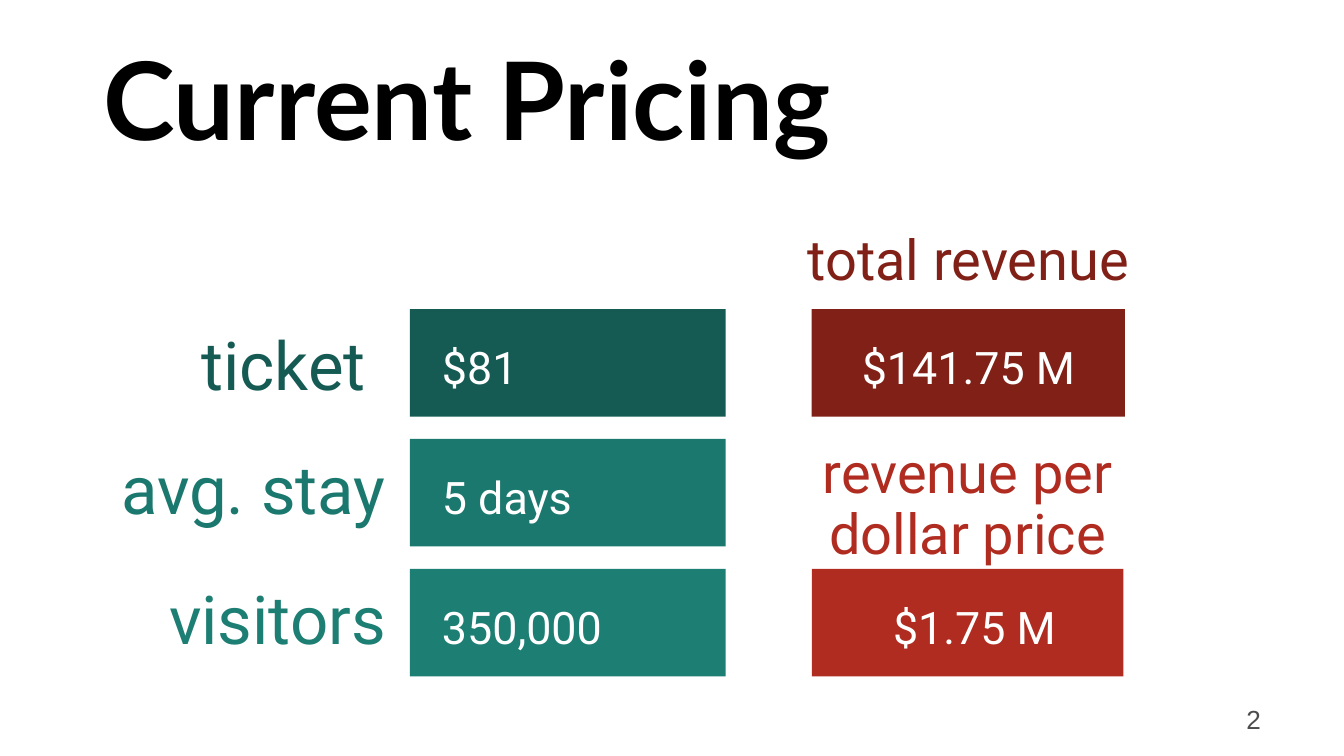
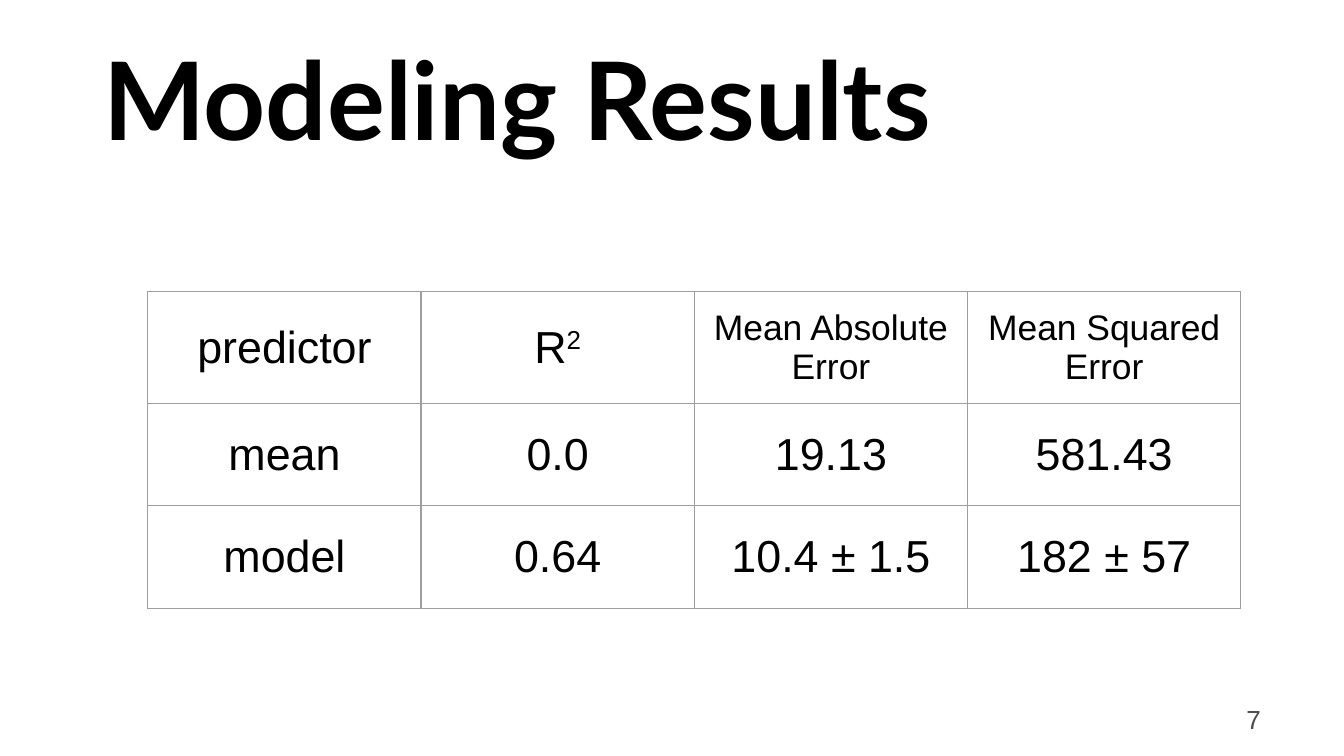
import pptx
import pptx.util
import pptx.dml.color
import pptx.enum.shapes
import pptx.enum.text
import pptx.oxml

Pt = pptx.util.Pt
align = pptx.enum.text.PP_ALIGN
middle = pptx.enum.text.MSO_ANCHOR.MIDDLE
box = pptx.enum.shapes.MSO_SHAPE.RECTANGLE
black, white, gray, edge = "000000", "FFFFFF", "4D4D4D", "9E9E9E"


def tint(code):
    return pptx.dml.color.RGBColor.from_string(code)


def write(frame, runs, font, color, side=align.LEFT, space=None, bold=False):
    frame.word_wrap = True
    para = frame.paragraphs[0]
    para.alignment = side
    para.line_spacing = space
    for text, size in runs:
        run = para.add_run()
        run.text = text
        run.font.size = Pt(size)
        run.font.name = font
        run.font.bold = bold
        run.font.color.rgb = tint(color)
    return para


deck = pptx.Presentation()
deck.slide_width = Pt(720)
deck.slide_height = Pt(405)

pages = []
for title, number in [("Current Pricing", "2"), ("Modeling Results", "7")]:
    page = deck.slides.add_slide(deck.slide_layouts[6])
    foot = page.shapes.add_textbox(Pt(521.3), Pt(373), Pt(161.3), Pt(15.8))
    write(foot.text_frame, [(number, 14)], "Arial", gray, align.RIGHT)
    head = page.shapes.add_textbox(Pt(48.2), Pt(15.8), Pt(640.8), Pt(72.7))
    head.text_frame.vertical_anchor = middle
    write(head.text_frame, [(title, 58)], "Lato", black, bold=True)
    pages.append(page)
pricing, results = pages

tops = [165.6 + 69.6 * row for row in range(3)]
high = 57.6
left, right, mid = align.LEFT, align.RIGHT, align.CENTER
cards = [
    ([("avg. stay", 36)], right, (0, 239, 213.8), (219.6, tops[1], 169.2),
     "1B786E", "5 days", left, (229.7, 159.1, 26)),
    ([("visitors", 36)], right, (52.6, 308.9, 161.3), (219.6, tops[2], 169.2),
     "1D7E74", "350,000", left, (229.7, 159.1, 26)),
    ([("ticket", 36), (" ", 44)], right, (56.2, 169.9, 157.7), (219.6, tops[0], 169.2),
     "155B54", "$81", left, (229.7, 157.7, 45.4)),
    ([("total revenue ", 30)], mid, (424.1, 115.9, 189.4), (434.9, tops[0], 167.8),
     "802017", "$141.75 M", mid, (434.9, 167.8, 45.4)),
    ([("revenue per dollar price", 30)], mid, (432, 246.2, 172.8), (434.9, tops[2], 167),
     "B02C20", "$1.75 M", mid, (438.5, 167, 26)),
]
for label, side, place, bar, color, value, lean, spot in cards:
    x, y, wide = place
    name = pricing.shapes.add_textbox(Pt(x), Pt(y), Pt(wide), Pt(49.7))
    name.text_frame.vertical_anchor = middle
    write(name.text_frame, label, "Roboto", color, side, 0.9)

    x, top, wide = bar
    shape = pricing.shapes.add_shape(box, Pt(x), Pt(top), Pt(wide), Pt(high))
    shape.shadow.inherit = False
    shape.fill.solid()
    shape.fill.fore_color.rgb = tint(color)
    shape.line.fill.background()

    x, wide, tall = spot
    note = pricing.shapes.add_textbox(Pt(x), Pt(top + (high - tall) / 2), Pt(wide), Pt(tall))
    note.text_frame.vertical_anchor = middle
    write(note.text_frame, [(value, 24)], "Roboto", white, lean, 1.15)

data = [
    ["predictor", "R", "Mean Absolute Error", "Mean Squared Error"],
    ["mean", "0.0", "19.13", "581.43"],
    ["model", "0.64", "10.4 ± 1.5", "182 ± 57"],
]
table = results.shapes.add_table(3, 4, Pt(79.2), Pt(156.2), Pt(585.6), Pt(164.4)).table
table.first_row = False
table.horz_banding = False
for col in table.columns:
    col.width = Pt(146.4)
for r, line in enumerate(data):
    table.rows[r].height = Pt(54.8)
    for c, text in enumerate(line):
        cell = table.cell(r, c)
        cell.vertical_anchor = middle
        cell.margin_left = cell.margin_right = Pt(7.2)
        cell.margin_top = cell.margin_bottom = Pt(7.2)
        runs = [(text, 19 if r == 0 and c > 1 else 24)]
        if text == "R":
            runs.append(("2", 24))
        para = write(cell.text_frame, runs, "Arial", black, mid)
        if text == "R":
            para.runs[1]._r.get_or_add_rPr().set("baseline", "30000")
        props = cell._tc.get_or_add_tcPr()
        for tag in ("lnL", "lnR", "lnT", "lnB"):
            props.append(pptx.oxml.parse_xml(
                f'<a:{tag} xmlns:a="http://schemas.openxmlformats.org/drawingml/2006/main" '
                f'w="9525"><a:solidFill><a:srgbClr val="{edge}"/></a:solidFill></a:{tag}>'))
        cell.fill.background()

deck.save("out.pptx")
